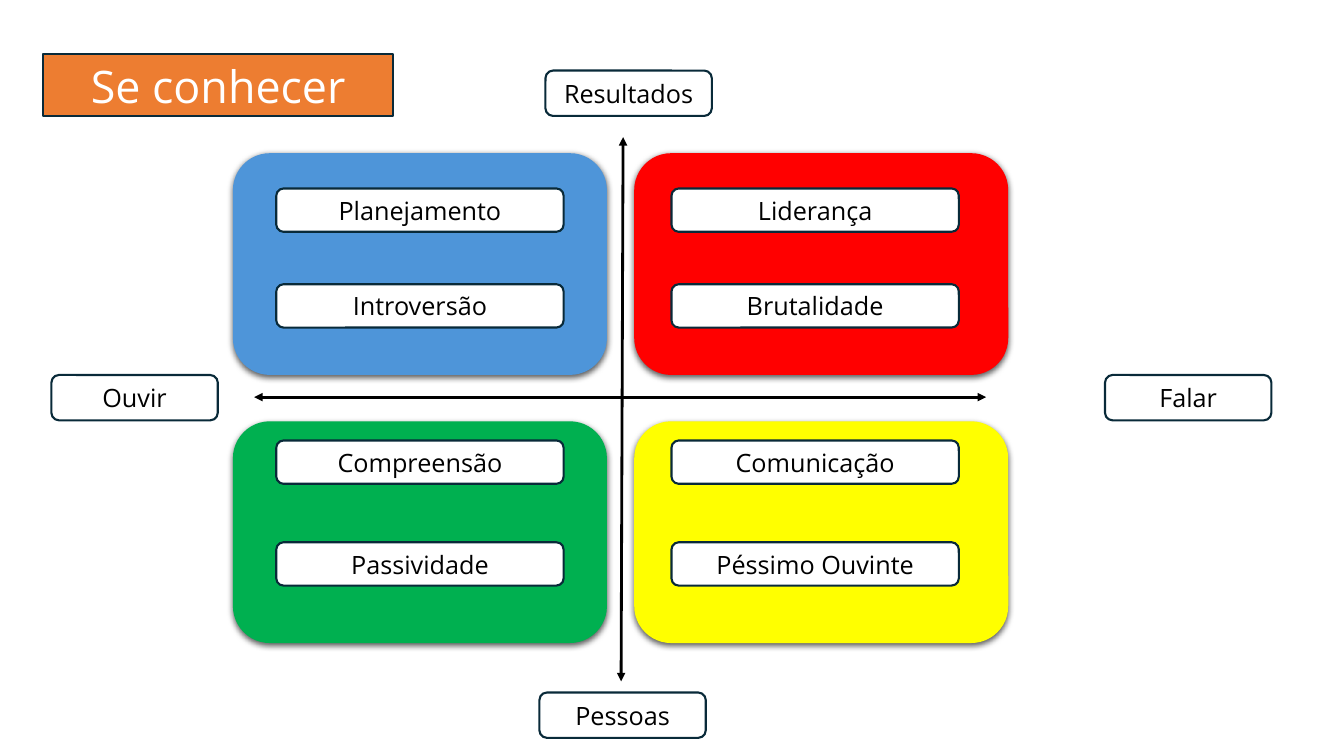
from lxml import etree
from pptx import Presentation
from pptx.dml.color import RGBColor
from pptx.enum.shapes import MSO_CONNECTOR, MSO_SHAPE
from pptx.enum.text import MSO_ANCHOR, MSO_AUTO_SIZE, PP_ALIGN
from pptx.oxml import parse_xml
from pptx.oxml.ns import nsdecls, qn
from pptx.util import Inches, Pt

ROUNDED = MSO_SHAPE.ROUNDED_RECTANGLE
STRAIGHT = MSO_CONNECTOR.STRAIGHT
CENTER = PP_ALIGN.CENTER
MIDDLE = MSO_ANCHOR.MIDDLE
NO_AUTOFIT = MSO_AUTO_SIZE.NONE

FONT = "Open Sans"
WHITE = RGBColor(0xFF, 0xFF, 0xFF)
BLACK = RGBColor(0x00, 0x00, 0x00)
NAVY = RGBColor(0x09, 0x2A, 0x39)
ORANGE = RGBColor(0xED, 0x7D, 0x31)
RED = RGBColor(0xFF, 0x00, 0x00)
YELLOW = RGBColor(0xFF, 0xFF, 0x00)
GREEN = RGBColor(0x00, 0xB0, 0x50)
BLUE = RGBColor(0x4E, 0x95, 0xD9)

# Grid, in inches: two columns and two rows of quadrants
COLUMNS = (2.31, 6.29)
ROWS = (1.52, 4.18)
QUADRANT_SIZE = (3.71, 2.2)
TRAIT_SIZE = (2.85, 0.43)
TRAIT_INDENTS = (0.43, 0.37)               # by column
TRAIT_DROPS = ((0.35, 1.3), (0.19, 1.2))   # by row: strength, weakness
POLE_SIZE = (1.65, 0.45)

# Column, row, colour, strength, weakness
QUADRANTS = (
    (1, 0, RED, "Liderança", "Brutalidade"),
    (1, 1, YELLOW, "Comunicação", "Péssimo Ouvinte"),
    (0, 1, GREEN, "Compreensão", "Passividade"),
    (0, 0, BLUE, "Planejamento", "Introversão"),
)
POLES = (
    ("Falar", 10.96, 3.72),
    ("Ouvir", 0.51, 3.72),
    ("Pessoas", 5.35, 6.87),
    ("Resultados", 5.41, 0.7),
)
AXES = ((6.18, 1.36, 6.16, 6.76), (9.78, 3.94, 2.52, 3.94))


def style_label(label, text, size, fill, color):
    label.fill.solid()
    label.fill.fore_color.rgb = fill
    label.line.color.rgb = NAVY
    label.line.width = Pt(1.5)
    frame = label.text_frame
    frame.word_wrap = True
    frame.auto_size = NO_AUTOFIT
    frame.vertical_anchor = MIDDLE
    paragraph = frame.paragraphs[0]
    paragraph.alignment = CENTER
    run = paragraph.add_run()
    run.text = text
    run.font.name = FONT
    run.font.size = Pt(size)
    run.font.color.rgb = color


def add_rounded(slide, left, top, size):
    box = slide.shapes.add_shape(
        ROUNDED, *(Inches(v) for v in (left, top, *size)))
    box.shadow.inherit = False
    return box


def add_label(slide, text, left, top, size):
    style_label(add_rounded(slide, left, top, size), text, 18, WHITE, BLACK)


def add_quadrant(slide, left, top, color):
    quadrant = add_rounded(slide, left, top, QUADRANT_SIZE)
    quadrant.fill.solid()
    quadrant.fill.fore_color.rgb = color
    quadrant.line.fill.background()
    effects = quadrant._element.spPr.find(qn("a:effectLst"))
    effects.append(parse_xml(
        f'<a:outerShdw {nsdecls("a")} blurRad="{Pt(4.5)}" dist="{Pt(1.5)}"'
        ' dir="5400000" algn="ctr" rotWithShape="0"><a:srgbClr val="000000">'
        '<a:alpha val="63000"/></a:srgbClr></a:outerShdw>'))


def add_axis(slide, *ends):
    axis = slide.shapes.add_connector(STRAIGHT, *(Inches(v) for v in ends))
    axis.line.color.rgb = BLACK
    axis.line.width = Pt(2)
    outline = axis.line._get_or_add_ln()
    for end in ("a:headEnd", "a:tailEnd"):
        etree.SubElement(outline, qn(end), type="triangle")
    etree.SubElement(axis._element.spPr, qn("a:effectLst"))


def set_title(slide, text):
    title = slide.shapes.title
    title.left, title.top, title.width, title.height = (
        Inches(v) for v in (0.43, 0.54, 3.47, 0.61))
    title._element.spPr.append(parse_xml(
        f'<a:prstGeom {nsdecls("a")} prst="roundRect"><a:avLst/></a:prstGeom>'))
    style_label(title, text, 32, ORANGE, WHITE)


def main():
    deck = Presentation()
    deck.slide_width, deck.slide_height = Inches(13.33), Inches(7.5)
    slide = deck.slides.add_slide(deck.slide_layouts[5])
    set_title(slide, "Se conhecer")

    # Axes behind the quadrants
    for ends in AXES:
        add_axis(slide, *ends)

    # Quadrants with their strength and weakness
    for column, row, color, *traits in QUADRANTS:
        left, top = COLUMNS[column], ROWS[row]
        add_quadrant(slide, left, top, color)
        for trait, drop in zip(traits, TRAIT_DROPS[row]):
            add_label(slide, trait, left + TRAIT_INDENTS[column], top + drop,
                      TRAIT_SIZE)

    # Poles at the ends of the axes
    for pole, left, top in POLES:
        add_label(slide, pole, left, top, POLE_SIZE)

    deck.save("out.pptx")


if __name__ == "__main__":
    main()
